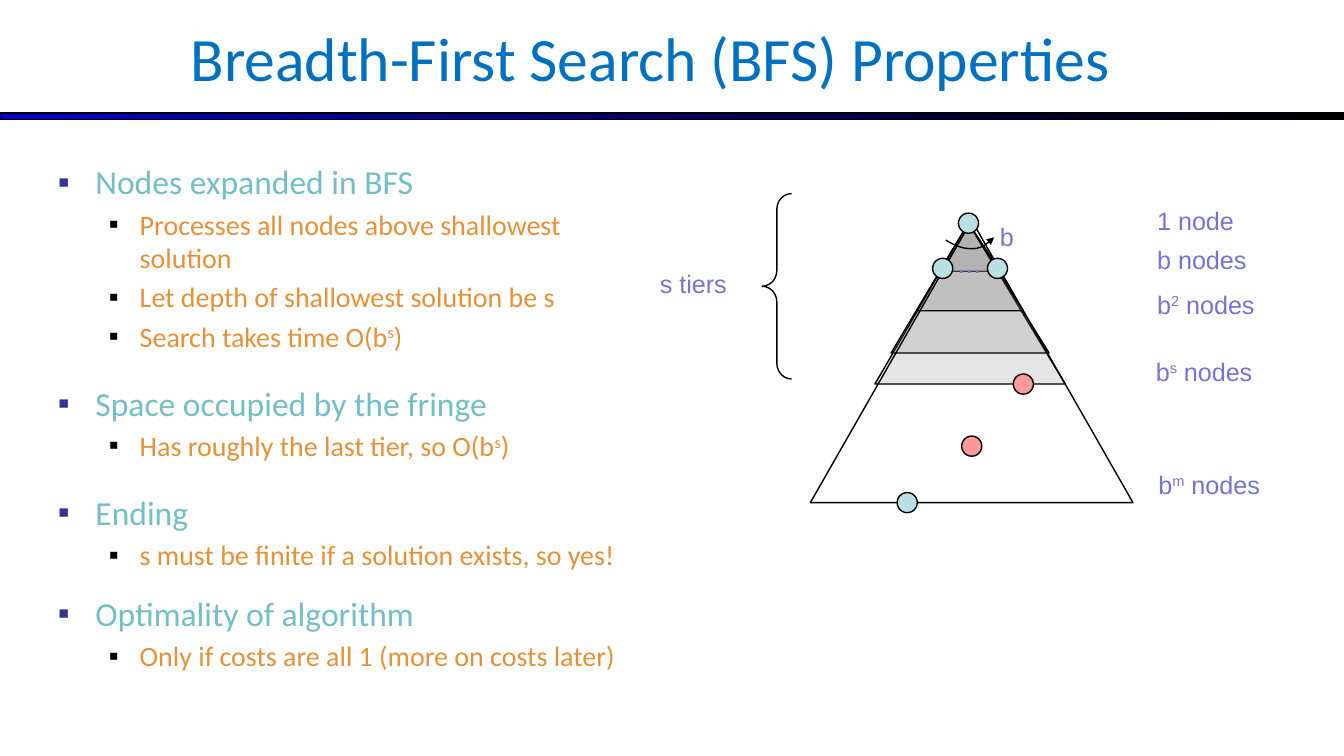
from lxml import etree
from pptx import Presentation
from pptx.dml.color import RGBColor
from pptx.enum.shapes import MSO_SHAPE
from pptx.enum.text import MSO_ANCHOR, MSO_AUTO_SIZE, PP_ALIGN
from pptx.oxml.ns import qn
from pptx.util import Inches, Pt

RECT, OVAL, BRACE = MSO_SHAPE.RECTANGLE, MSO_SHAPE.OVAL, MSO_SHAPE.LEFT_BRACE
TOP, MIDDLE = MSO_ANCHOR.TOP, MSO_ANCHOR.MIDDLE
CENTER, LEFT = PP_ALIGN.CENTER, PP_ALIGN.LEFT
NO_FIT = MSO_AUTO_SIZE.NONE

COLORS = {
    "title": "0070C0", "heading": "72BFC5", "item": "E69138",
    "heading_bullet": "333399", "item_bullet": "000000", "label": "7575D1",
    "line": "000000", "bar_start": "0000CC", "bar_end": "000000",
    "tier": "808080", "node": "BBE0E3", "goal": "FF9999",
}
FORMATS = {
    "title": {"size": Pt(33), "name": "Calibri"},
    "heading": {"size": Pt(18), "name": "Calibri"},
    "item": {"size": Pt(15), "name": "Calibri"},
    "label": {"size": Pt(13.5), "name": "Arial"},
}
# Level of each kind of paragraph, its left indent and hanging width
INDENTS = {"heading": (0, 0.28, 0.28), "item": (1, 0.61, 0.23)}

# Kind, space before and text, which is split at "^":
# every second piece is a superscript
BULLETS = [
    ("heading", 0, "Nodes expanded in BFS"),
    ("item", 3, "Processes all nodes above shallowest solution"),
    ("item", 3, "Let depth of shallowest solution be s"),
    ("item", 3, "Search takes time O(b^s^)"),
    ("heading", 16, "Space occupied by the fringe"),
    ("item", 3, "Has roughly the last tier, so O(b^s^)"),
    ("heading", 16, "Ending"),
    ("item", 3, "s must be finite if a solution exists, so yes!"),
    ("heading", 11.5, "Optimality of algorithm"),
    ("item", 3, "Only if costs are all 1 (more on costs later)"),
]

# Shares of the search tree's box
APEX = (0.49, 0.01)
TIERS = [(0.40, 0.59, 0.18), (0.20, 0.79, 0.58),
         (0.25, 0.74, 0.47), (0.33, 0.66, 0.32)]  # left, right, base
NODES = [("node", 0.49, 0.01), ("node", 0.41, 0.17), ("node", 0.58, 0.17),
         ("node", 0.30, 1), ("goal", 0.66, 0.58), ("goal", 0.50, 0.80)]
ARC = [(0.42, 0.07), (0.45, 0.09), (0.47, 0.10), (0.50, 0.10),
       (0.53, 0.10), (0.55, 0.08), (0.57, 0.06)]

LABELS = [
    ("…", (7.05, 1.81, 0.23, 0.3)),
    ("b", (7.37, 1.61, 0.24, 0.3)),
    ("1 node", (8.54, 1.49, 0.92, 0.3)),
    ("b nodes", (8.54, 1.78, 0.92, 0.3)),
    ("b^2^ nodes", (8.54, 2.11, 0.92, 0.3)),
    ("b^s^ nodes", (8.53, 2.61, 1.2, 0.3)),
    ("b^m^ nodes", (8.55, 3.45, 1.2, 0.3)),
    ("s tiers", (4.84, 1.96, 1.04, 0.3)),
]


def rgb(name):
    return RGBColor.from_string(COLORS[name])


def place(shape, box):
    for key, value in zip(("left", "top", "width", "height"), box):
        setattr(shape, key, Inches(value))


def set_frame(tf, anchor, inset=(0.1, 0.05)):
    x, y = map(Inches, inset)
    values = {"word_wrap": True, "auto_size": NO_FIT, "vertical_anchor": anchor,
              "margin_left": x, "margin_right": x,
              "margin_top": y, "margin_bottom": y}
    for key, value in values.items():
        setattr(tf, key, value)


def write(p, text, kind):
    for i, piece in enumerate(text.split("^")):
        r = p.add_run()
        r.text = piece
        for key, value in FORMATS[kind].items():
            setattr(r.font, key, value)
        r.font.color.rgb = rgb(kind)
        if i % 2:
            r.font._element.set("baseline", "30000")


def outline(shape, fill=None):
    shape.shadow.inherit = False
    shape.line.color.rgb = rgb("line")
    shape.line.width = Pt(0.75)
    if fill:
        shape.fill.solid()
        shape.fill.fore_color.rgb = rgb(fill)
    else:
        shape.fill.background()


def add_bullet(p, kind):
    level, indent, hang = INDENTS[kind]
    p.level = level
    pPr = p._p.get_or_add_pPr()
    pPr.set("marL", str(Inches(indent)))
    pPr.set("indent", str(-Inches(hang)))
    clr = etree.SubElement(pPr, qn("a:buClr"))
    etree.SubElement(clr, qn("a:srgbClr"), val=COLORS[kind + "_bullet"])
    etree.SubElement(pPr, qn("a:buFont"), typeface="Arial")
    etree.SubElement(pPr, qn("a:buChar"), char="▪")


def add_title(s, box, text):
    title = s.shapes.title
    place(title, box)
    set_frame(title.text_frame, MIDDLE)
    p = title.text_frame.paragraphs[0]
    p.alignment = CENTER
    write(p, text, "title")


def add_bar(s, box):
    bar = s.shapes.add_shape(RECT, *map(Inches, box))
    outline(bar)
    bar.fill.gradient()
    bar.fill.gradient_angle = 0
    for stop, name in zip(bar.fill.gradient_stops, ("bar_start", "bar_end")):
        stop.color.rgb = rgb(name)


def add_body(s, box):
    body = s.placeholders[1]
    place(body, box)
    tf = body.text_frame
    set_frame(tf, TOP)
    for i, (kind, gap, text) in enumerate(BULLETS):
        p = tf.add_paragraph() if i else tf.paragraphs[0]
        add_bullet(p, kind)
        p.alignment, p.space_before = LEFT, Pt(gap)
        write(p, text, kind)


def add_tree(s, box):
    left, top, width, height = box

    def at(fx, fy):
        return Inches(left + fx * width), Inches(top + fy * height)

    def freeform(points, close=True):
        start, *rest = [at(*point) for point in points]
        builder = s.shapes.build_freeform(*start)
        builder.add_line_segments(rest, close=close)
        return builder.convert_to_shape()

    # Shaded tiers, darker where they overlap
    for x1, x2, base in TIERS:
        tier = freeform([APEX, (x1, base), (x2, base)])
        outline(tier, "tier")
        clr = tier._element.spPr.find(qn("a:solidFill"))[0]
        etree.SubElement(clr, qn("a:alpha"), val="20000")

    # Whole tree and its nodes
    outline(freeform([(0, 1), (1, 1), (0.5, 0)]))
    d = Inches(0.15)
    for kind, fx, fy in NODES:
        x, y = at(fx, fy)
        outline(s.shapes.add_shape(OVAL, x - d // 2, y - d // 2, d, d), kind)

    # Branching arrow: each three points make one Bezier segment
    arc = freeform(ARC, close=False)
    outline(arc)
    curve = next(arc._element.iter(qn("a:moveTo"))).getparent()
    steps = curve.findall(qn("a:lnTo"))
    for i in range(0, len(steps), 3):
        bezier = etree.SubElement(curve, qn("a:cubicBezTo"))
        for step in steps[i:i + 3]:
            bezier.append(step[0])
            curve.remove(step)
    etree.SubElement(arc.line._get_or_add_ln(), qn("a:tailEnd"),
                     type="triangle", w="sm", len="sm")


def add_brace(s, box):
    brace = s.shapes.add_shape(BRACE, *map(Inches, box))
    brace.adjustments[0] = 0.53
    outline(brace)


def add_label(s, box, text):
    tf = s.shapes.add_textbox(*map(Inches, box)).text_frame
    set_frame(tf, TOP, (0.07, 0.04))
    write(tf.paragraphs[0], text, "label")


def main():
    prs = Presentation()
    prs.slide_width = Inches(10)
    prs.slide_height = prs.slide_width * 9 // 16
    s = prs.slides.add_slide(prs.slide_layouts[1])
    add_bar(s, (0, 0.84, 10, 0.05))
    add_title(s, (-0.16, -0.05, 10, 0.94), "Breadth-First Search (BFS) Properties")
    add_body(s, (0.33, 1.15, 4.67, 3.88))
    add_tree(s, (6.03, 1.64, 2.4, 2.1))
    add_brace(s, (5.67, 1.44, 0.22, 1.38))
    for text, box in LABELS:
        add_label(s, box, text)
    prs.save("out.pptx")


if __name__ == "__main__":
    main()
